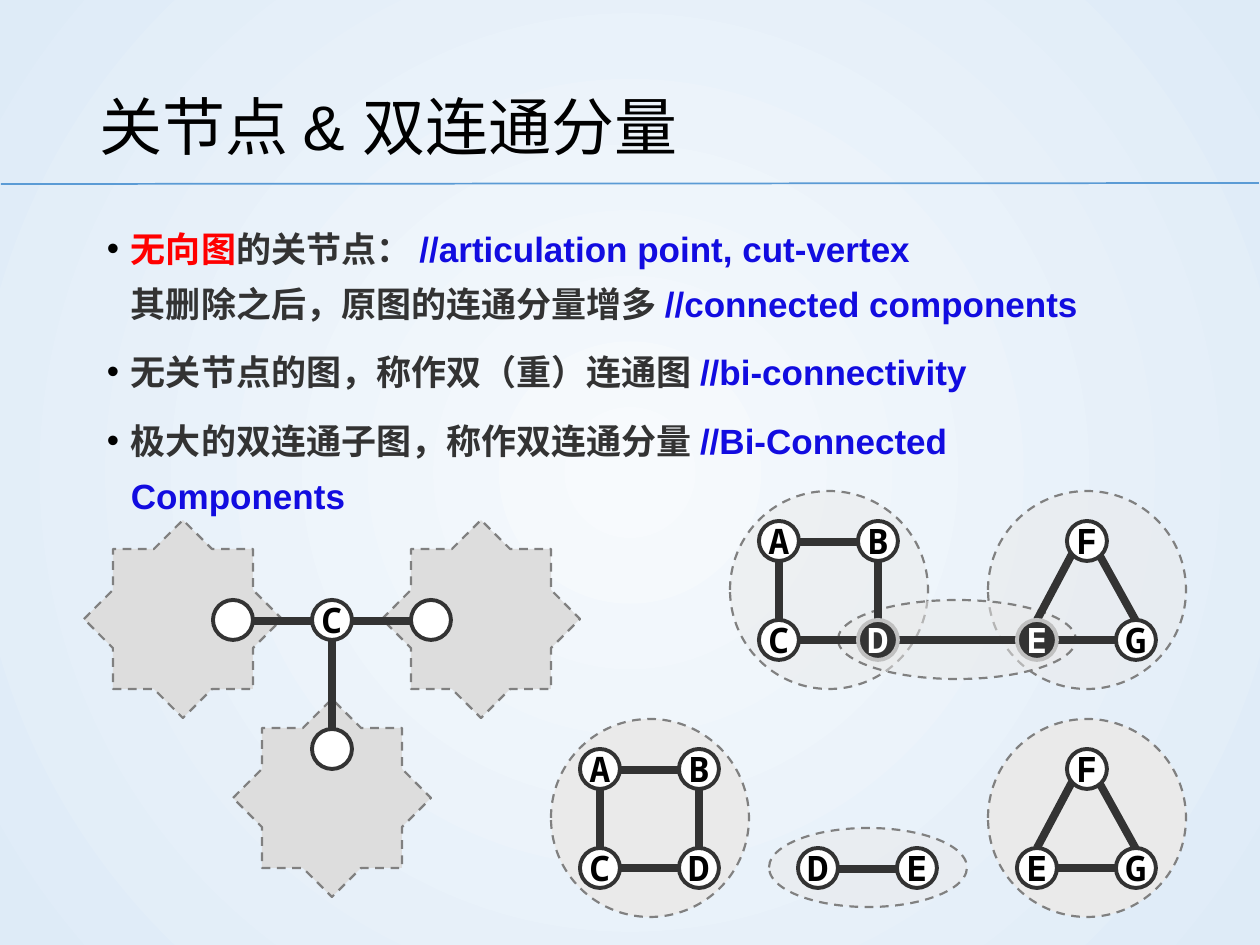
from lxml.etree import SubElement
from pptx import Presentation
from pptx.dml.color import RGBColor
from pptx.enum.dml import MSO_LINE
from pptx.enum.shapes import MSO_CONNECTOR, MSO_SHAPE
from pptx.enum.text import MSO_ANCHOR, MSO_AUTO_SIZE, PP_ALIGN
from pptx.oxml.ns import qn
from pptx.util import Emu, Pt

BLACK = RGBColor(0x00, 0x00, 0x00)
WHITE = RGBColor(0xFF, 0xFF, 0xFF)
INK = RGBColor(0x33, 0x33, 0x33)
RED = RGBColor(0xFF, 0x00, 0x00)
BLUE = RGBColor(0x12, 0x0C, 0xE0)
RULE = RGBColor(0x5B, 0x9B, 0xD5)
DASH = RGBColor(0x80, 0x80, 0x80)
HALO = RGBColor(0xC0, 0xC0, 0xC0)
PALE = RGBColor(0xEA, 0xEA, 0xEA)
STAR = RGBColor(0xDD, 0xDD, 0xDD)
CENTRE = RGBColor(0xF7, 0xFA, 0xFD)
EDGE = RGBColor(0xDE, 0xEB, 0xF7)

EMU_PER_PX = 914400 / 126
NODE = 40
REGION = 198
OVAL = 79

BULLETS = [
    [("无向图", RED), ("的关节点： ", INK),
     ("//articulation point, cut-vertex", BLUE), None,
     ("其删除之后，原图的连通分量增多 ", INK), ("//connected components", BLUE)],
    [("无关节点的图，称作双（重）连通图 ", INK), ("//bi-connectivity", BLUE)],
    [("极大的双连通子图，称作双连通分量 ", INK),
     ("//Bi-Connected Components", BLUE)],
]

# Graphs: node centres and edge ends, relative to the region around them.
SQUARE = ({"A": (49, 50), "B": (148, 50), "C": (49, 149), "D": (148, 149)},
          [(49, 71, 49, 130), (148, 70, 148, 129),
           (128, 51, 69, 51), (128, 149, 69, 149)])
TRIANGLE = ({"F": (99, 50), "E": (49, 149), "G": (148, 149)},
            [(49, 129, 84, 63), (69, 149, 128, 149), (148, 130, 112, 65)])
BRIDGE = ({"D": (49, 40), "E": (148, 40)}, [(69, 41, 128, 41)])


def px(length):
    return Emu(round(length * EMU_PER_PX))


class Slide:
    font = "Arial"
    label_font = "Noto Sans Mono"

    def __init__(self, deck):
        self.page = deck.slides.add_slide(deck.slide_layouts[5])

    def background(self, inner, outer):
        """Fill the page with a gradient that spreads from its middle."""
        fill = self.page.background.fill
        fill.gradient()
        for stop, color in zip(fill.gradient_stops, (inner, outer)):
            stop.color.rgb = color
        gradient = self.page.element.find(".//" + qn("a:gradFill"))
        gradient.remove(gradient.find(qn("a:lin")))
        path = SubElement(gradient, qn("a:path"), path="circle")
        SubElement(path, qn("a:fillToRect"), l="50000", t="50000", r="50000", b="50000")

    def span(self, para, text, size, color, font=font, bold=True):
        run = para.add_run()
        run.text = text
        run.font.name = font
        run.font.size = Pt(size)
        run.font.bold = bold
        run.font.color.rgb = color

    def title(self, text, x, y, width, height):
        box = self.page.shapes.title
        box.left, box.top, box.width, box.height = map(px, (x, y, width, height))
        frame = box.text_frame
        frame.auto_size = MSO_AUTO_SIZE.NONE
        frame.vertical_anchor = MSO_ANCHOR.MIDDLE
        para = frame.paragraphs[0]
        para.alignment = PP_ALIGN.LEFT
        para.line_spacing = 1.2
        self.span(para, text, 36, BLACK, bold=False)

    def bullets(self, items, x, y, width, height):
        """Each item is a list of (text, color); None breaks the line."""
        frame = self.page.shapes.add_textbox(*map(px, (x, y, width, height))).text_frame
        frame.word_wrap = True
        frame.margin_left, frame.margin_right = px(20), 0
        frame.margin_top = frame.margin_bottom = px(10)
        for index, item in enumerate(items):
            para = frame.add_paragraph() if index else frame.paragraphs[0]
            properties = para._p.get_or_add_pPr()
            properties.set("marL", str(px(24)))
            properties.set("indent", str(-px(24)))
            color = SubElement(properties, qn("a:buClr"))
            SubElement(color, qn("a:srgbClr"), val=str(BLACK))
            SubElement(properties, qn("a:buFont"), typeface=self.font)
            SubElement(properties, qn("a:buChar"), char="•")
            para.line_spacing = 1.3
            para.space_after = Pt(2)
            if index:
                para.space_before = Pt(6)
            for part in item:
                if part is None:
                    para.add_line_break()
                else:
                    self.span(para, part[0], 20, part[1])

    def shape(self, kind, x, y, width, height, fill, line, weight):
        shape = self.page.shapes.add_shape(kind, *map(px, (x, y, width, height)))
        shape.shadow.inherit = False
        shape.fill.solid()
        shape.fill.fore_color.rgb = fill
        shape.line.color.rgb = line
        shape.line.width = Pt(weight)
        return shape

    def region(self, x, y, width=REGION, height=REGION, clear=False):
        """Dashed ellipse around a component, half transparent if clear."""
        shape = self.shape(MSO_SHAPE.OVAL, x, y, width, height, PALE, DASH, 1.25)
        shape.line.dash_style = MSO_LINE.DASH
        if clear:
            color = shape._element.spPr.find(qn("a:solidFill")).find(qn("a:srgbClr"))
            SubElement(color, qn("a:alpha"), val="50000")

    def star(self, x, y):
        shape = self.shape(MSO_SHAPE.STAR_8_POINT, x, y, REGION, REGION, STAR, DASH, 1.25)
        shape.adjustments[0] = 0.383
        shape.line.dash_style = MSO_LINE.DASH

    def node(self, x, y, label="", cut=False):
        """Circle centred on x, y; a cut vertex is dark."""
        fill, line, ink = (INK, HALO, WHITE) if cut else (WHITE, INK, BLACK)
        shape = self.shape(MSO_SHAPE.OVAL, x - NODE // 2, y - NODE // 2,
                           NODE, NODE, fill, line, 2.25)
        if label:
            frame = shape.text_frame
            frame.word_wrap = False
            frame.vertical_anchor = MSO_ANCHOR.MIDDLE
            frame.margin_left = frame.margin_right = 0
            frame.margin_top = frame.margin_bottom = 0
            para = frame.paragraphs[0]
            para.alignment = PP_ALIGN.CENTER
            self.span(para, label, 20, ink, self.label_font)

    def line(self, x1, y1, x2, y2, color=INK, weight=4.5):
        line = self.page.shapes.add_connector(
            MSO_CONNECTOR.STRAIGHT, *map(px, (x1, y1, x2, y2)))
        line.line.color.rgb = color
        line.line.width = Pt(weight)
        SubElement(line._element.spPr, qn("a:effectLst"))

    def graph(self, x, y, nodes, edges, cuts=""):
        for x1, y1, x2, y2 in edges:
            self.line(x + x1, y + y1, x + x2, y + y2)
        for label, (dx, dy) in nodes.items():
            self.node(x + dx, y + dy, label, label in cuts)


def main():
    deck = Presentation()
    deck.slide_width, deck.slide_height = px(1260), px(945)
    slide = Slide(deck)
    slide.background(CENTRE, EDGE)
    slide.line(1, 184, 1259, 183, RULE, 1)
    slide.title("关节点 & 双连通分量", 87, 50, 1086, 136)
    slide.bullets(BULLETS, 87, 205, 1070, 646)

    # Connected graph with its three overlapping components
    left, middle, right, upper, lower = 730, 551, 988, 491, 719
    slide.region(right, upper, clear=True)
    slide.region(left, upper, clear=True)
    slide.region(838, 600, 238, OVAL, clear=True)
    slide.line(898, 640, 1017, 640)
    slide.graph(left, upper, *SQUARE, cuts="D")
    slide.graph(right, upper, *TRIANGLE, cuts="E")

    # The components taken apart
    slide.region(769, 828, REGION, OVAL, clear=True)
    slide.region(right, lower)
    slide.region(middle, lower)
    slide.graph(middle, lower, *SQUARE)
    slide.graph(right, lower, *TRIANGLE)
    slide.graph(769, 828, *BRIDGE)

    # Articulation point C joining three parts
    for x, y in ((84, 520), (382, 520), (233, 699)):
        slide.star(x, y)
    slide.node(332, 620, "C")
    for x, y in ((233, 620), (431, 620), (332, 749)):
        slide.node(x, y)
    for ends in ((253, 621, 312, 621), (352, 621, 411, 621), (332, 641, 332, 731)):
        slide.line(*ends)

    deck.save("out.pptx")


if __name__ == "__main__":
    main()
